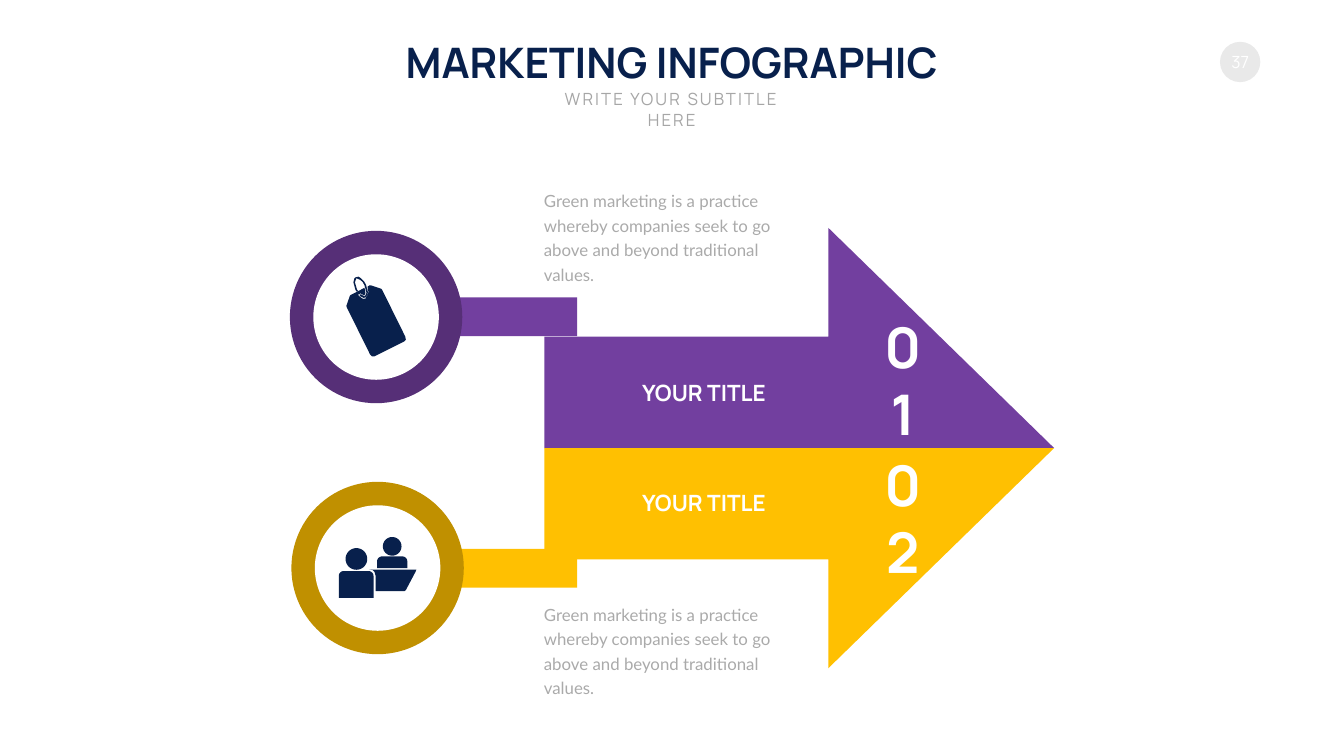
from math import cos, pi, sin

from lxml import etree
from pptx import Presentation
from pptx.dml.color import RGBColor
from pptx.enum.shapes import MSO_SHAPE
from pptx.enum.text import MSO_ANCHOR, PP_ALIGN
from pptx.oxml.ns import qn
from pptx.util import Inches, Pt

NAVY, WHITE = "08204C", "FFFFFF"
DESCRIPTION = ("Green marketing is a practice whereby companies seek to go "
               "above and beyond traditional values.")

# Icon outlines, in inches from the icon's top left corner
TAG = [
    [(0.48, 0.17), (0.69, 0.24), (0.71, 0.26), (1.17, 1.19), (1.18, 1.25),
     (1.14, 1.29), (0.56, 1.58), (0.51, 1.58), (0.47, 1.54), (0.01, 0.61),
     (0, 0.58), (0.07, 0.38), (0.09, 0.36), (0.19, 0.31), (0.36, 0.22),
     (0.38, 0.32), (0.36, 0.37), (0.31, 0.35), (0.28, 0.33), (0.23, 0.36),
     (0.27, 0.4), (0.33, 0.44), (0.39, 0.43), (0.44, 0.31), (0.42, 0.2),
     (0.46, 0.17)],
    [(0.24, 0), (0.29, 0.03), (0.35, 0.09), (0.39, 0.16), (0.43, 0.31),
     (0.39, 0.41), (0.34, 0.42), (0.28, 0.39), (0.26, 0.36), (0.28, 0.35),
     (0.3, 0.36), (0.37, 0.39), (0.4, 0.32), (0.36, 0.17), (0.32, 0.1),
     (0.27, 0.06), (0.2, 0.03), (0.17, 0.11), (0.21, 0.25), (0.23, 0.28),
     (0.2, 0.29), (0.18, 0.26), (0.14, 0.11), (0.16, 0.03), (0.19, 0.01)],
]
DESK = [(0.6, 0.64), (1.54, 0.64), (1.52, 0.69), (1.33, 1.05), (1.3, 1.07),
        (0.73, 1.07), (0.73, 0.76), (0.71, 0.69), (0.67, 0.65)]


def arc(x, y, radius, start=0, sweep=360, steps=40):
    angles = [(start + sweep * i / steps) * pi / 180 for i in range(steps + 1)]
    return [(x + radius * cos(a), y + radius * sin(a)) for a in angles]


def shoulders(left, top, right, bottom, radius=0.1):
    return ([(left, bottom)]
            + arc(left + radius, top + radius, radius, 180, 90, 8)
            + arc(right - radius, top + radius, radius, 270, 90, 8)
            + [(right, bottom)])


PEOPLE = [shoulders(0, 0.67, 0.69, 1.2), DESK, shoulders(0.76, 0.38, 1.36, 0.61),
          arc(0.35, 0.43, 0.215), arc(1.06, 0.18, 0.185)]


def color(value):
    return RGBColor.from_string(value)


def paint(shape, fill):
    shape.shadow.inherit = False
    shape.fill.solid()
    shape.fill.fore_color.rgb = color(fill)
    shape.line.fill.background()
    return shape


def add_preset(slide, kind, left, top, width, height, fill):
    box = map(Inches, (left, top, width, height))
    return paint(slide.shapes.add_shape(kind, *box), fill)


def add_outline(slide, left, top, contours, fill):
    """Draw closed contours given relative to (left, top) as one shape."""
    placed = [[(Inches(left + x), Inches(top + y)) for x, y in contour]
              for contour in contours]
    builder = slide.shapes.build_freeform(*placed[0][0], scale=1.0)
    builder.add_line_segments(placed[0][1:], close=True)
    for contour in placed[1:]:
        builder.move_to(*contour[0])
        builder.add_line_segments(contour[1:], close=True)
    return paint(builder.convert_to_shape(), fill)


def style(paragraph, size, text_color, font="Manrope", bold=False, align=PP_ALIGN.CENTER):
    paragraph.alignment = align
    paragraph.font.size = Pt(size)
    paragraph.font.name = font
    paragraph.font.bold = bold
    paragraph.font.color.rgb = color(text_color)


def add_text(slide, box, text, size, text_color, anchor=MSO_ANCHOR.TOP, **options):
    frame = slide.shapes.add_textbox(*map(Inches, box)).text_frame
    frame.word_wrap = True
    frame.vertical_anchor = anchor
    paragraph = frame.paragraphs[0]
    paragraph.text = text
    style(paragraph, size, text_color, **options)
    return paragraph


def add_header(slide, left, top, width):
    add_text(slide, (left, top, width, 1.11), "MARKETING INFOGRAPHIC", 60, NAVY, bold=True)
    subtitle = add_text(slide, (left + (width - 5.43) / 2, top + 1.05, 5.43, 0.5),
                        "WRITE YOUR SUBTITLE HERE", 24, "A6A6A6")
    subtitle.runs[0].font._element.set("spc", "300")


def add_page_number(slide, left, top, size):
    badge = add_preset(slide, MSO_SHAPE.OVAL, left, top, size, size, "E9E9E9")
    frame = badge.text_frame
    frame.margin_left = frame.margin_right = frame.margin_top = frame.margin_bottom = 0
    frame.word_wrap = False
    frame.vertical_anchor = MSO_ANCHOR.MIDDLE
    frame.paragraphs[0].text = "37"
    style(frame.paragraphs[0], 24, WHITE)


def add_arrow_half(slide, left, top, width, height, fill, number, upper):
    """Draw one half of the big arrow; the lower half mirrors the upper one."""
    corners = [(width, height), (0, height), (0, 2.16), (5.63, 2.16), (5.63, 0)]
    if not upper:
        corners = [(x, height - y) for x, y in corners]
    add_outline(slide, left, top, [corners], fill)
    number_middle = 3.01 if upper else 1.37
    title_middle = 3.26 if upper else 1.08
    add_text(slide, (left + 6.43, top + number_middle - 0.72, 1.36, 1.45), number,
             80, WHITE, MSO_ANCHOR.MIDDLE, bold=True)
    add_text(slide, (left + 1.78, top + title_middle - 0.32, 2.77, 0.64), "YOUR TITLE",
             32, WHITE, MSO_ANCHOR.MIDDLE, bold=True)


def add_badge(slide, left, top, size, bar_top, fill, ring, icon, icon_left, icon_top):
    """Draw the bar towards the arrow, then the ring with its icon."""
    add_preset(slide, MSO_SHAPE.RECTANGLE, 8.87, bar_top, 2.58, 0.77, fill)
    inner = 2.49
    inset = (size - inner) / 2
    add_preset(slide, MSO_SHAPE.OVAL, left, top, size, size, ring)
    add_preset(slide, MSO_SHAPE.OVAL, left + inset, top + inset, inner, inner, WHITE)
    add_outline(slide, left + icon_left, top + icon_top, icon, NAVY)


def add_description(slide, left, top, anchor):
    paragraph = add_text(slide, (left, top, 5.52, 1.52), DESCRIPTION, 24, "AAAAAA",
                         anchor, font="Lato", align=PP_ALIGN.LEFT)
    paragraph.line_spacing = Pt(35)


def main():
    presentation = Presentation()
    presentation.slide_width, presentation.slide_height = Inches(26.66), Inches(15)
    slide = presentation.slides.add_slide(presentation.slide_layouts[6])

    add_page_number(slide, 24.2, 0.83, 0.8)
    add_arrow_half(slide, 10.8, 4.52, 10.11, 4.37, "723F9F", "01", upper=True)
    add_badge(slide, 5.75, 4.58, 3.42, 5.9, "723F9F", "562F77", TAG, 1.12, 0.91)
    add_arrow_half(slide, 10.8, 8.89, 10.11, 4.37, "FFC001", "02", upper=False)
    add_badge(slide, 5.78, 9.56, 3.42, 10.89, "FFC001", "C09000", PEOPLE, 0.94, 1.1)
    add_header(slide, 7.71, 0.67, 11.23)
    add_description(slide, 10.69, 4.18, MSO_ANCHOR.BOTTOM)
    add_description(slide, 10.69, 11.86, MSO_ANCHOR.TOP)
    presentation.save("out.pptx")


if __name__ == "__main__":
    main()
